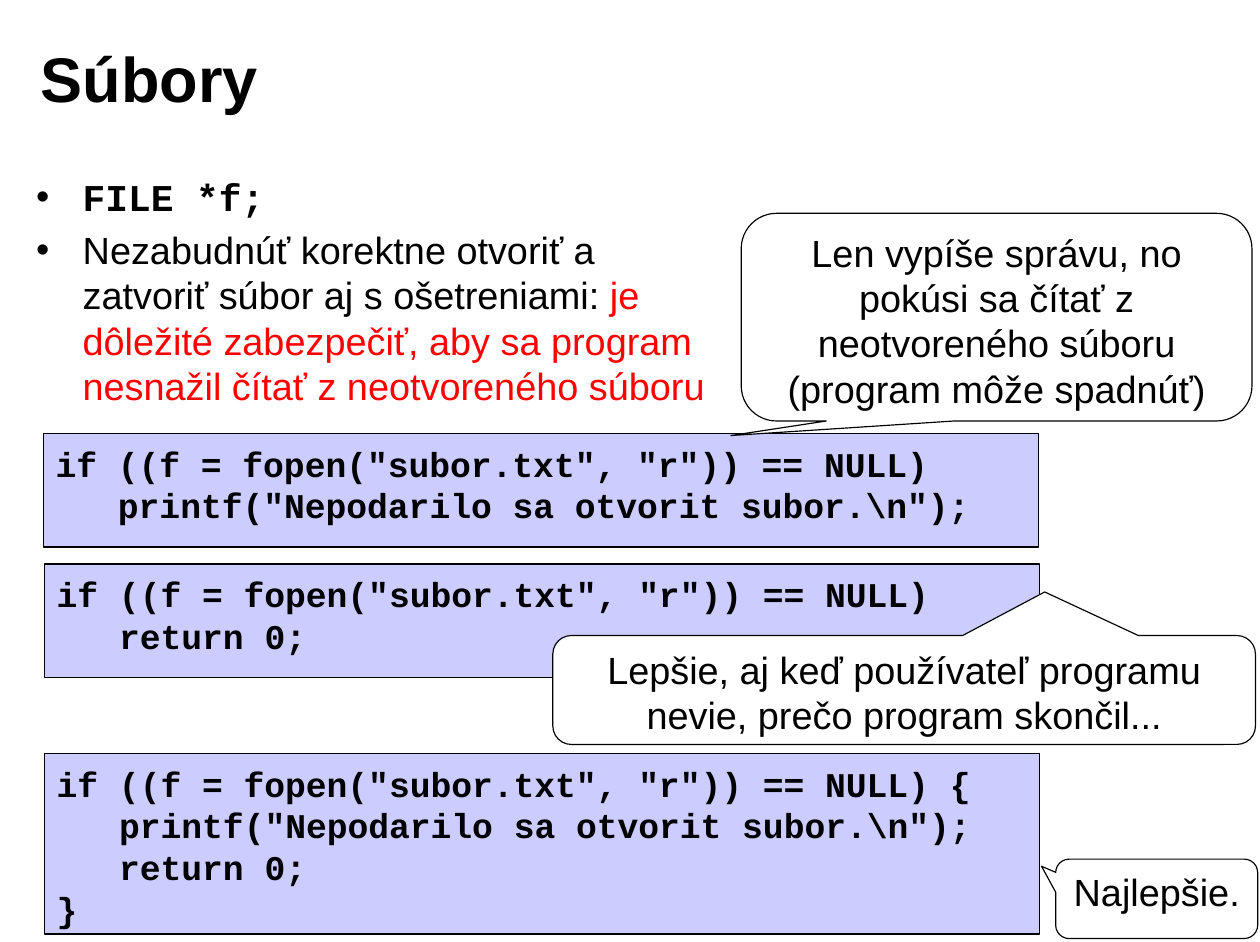
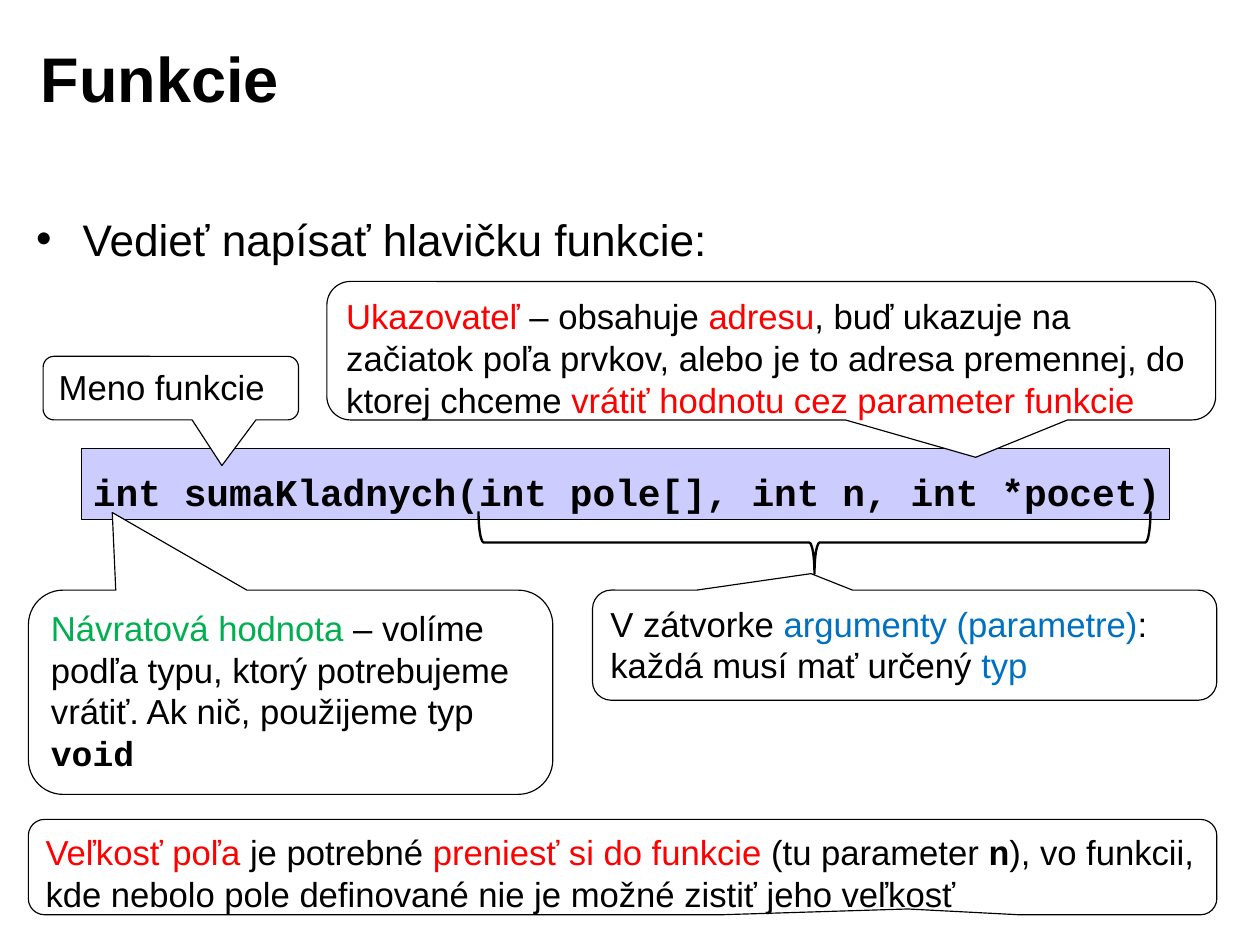
from lxml.etree import SubElement
from pptx import Presentation
from pptx.dml.color import RGBColor
from pptx.enum.shapes import MSO_SHAPE as Shape
from pptx.enum.text import MSO_ANCHOR as Anchor, PP_ALIGN as Align
from pptx.oxml.ns import qn
from pptx.util import Emu, Pt

PX = 9144  # 100 px to the inch
WIDTH, HEIGHT = 1110, 830
COLORS = {"black": "000000", "white": "FFFFFF", "code": "CCCCFF",
          "red": "FF0000", "green": "00B050", "blue": "0070C0"}
SANS, MONO = "Arial", "Courier New"
RED, GREEN, BLUE = ({"color": name} for name in ("red", "green", "blue"))
CODE = {"font": MONO, "bold": True}
WIDE_INSETS = (11, 6, 11, 6)
PLAIN_INSETS = (10, 5, 10, 5)
CODE_INSETS = (11, 8, 11, 6)
HEADER_INSETS = (10, 18, 0, 5)
CODE_INDENT = 55

# Content: a paragraph is a list of (text, format) runs
OPEN_FILE = 'if ((f = fopen("subor.txt", "r")) == NULL)'
REPORT = r'printf("Nepodarilo sa otvorit subor.\n");'
LEAVE = "return 0;"

# Code lines are (indent level, text)
FILES = {
    "title": "Súbory",
    "bullets": {"box": (22, 148, 631, 265), "size": 24, "paragraphs": [
        [("FILE *f;", CODE)],
        [("Nezabudnúť korektne otvoriť a zatvoriť súbor aj s ošetreniami: ", {}),
         ("je dôležité zabezpečiť, aby sa program nesnažil čítať "
          "z neotvoreného súboru", RED)]]},
    "code": [
        {"box": (38, 382, 877, 100), "lines": [(0, OPEN_FILE), (1, REPORT)]},
        {"box": (39, 497, 877, 100), "lines": [(0, OPEN_FILE), (1, LEAVE)]},
        {"box": (39, 664, 877, 159),
         "lines": [(0, OPEN_FILE + " {"), (1, REPORT), (1, LEAVE), (0, "}")]},
    ],
    "code_format": {"size": 22, "insets": CODE_INSETS},
    "callouts": [
        {"box": (653, 188, 450, 183), "tip": (-0.52, 0.57), "runs": [
            ("Len vypíše správu, no pokúsi sa čítať z neotvoreného súboru "
             "(program môže spadnúť)", {})]},
        {"box": (487, 560, 619, 96), "tip": (0.2, -0.9), "runs": [
            ("Lepšie, aj keď používateľ programu nevie, prečo program skončil...", {})]},
        {"box": (930, 757, 178, 70), "tip": (-0.57, -0.41),
         "runs": [("Najlepšie...", {})]},
    ],
    "callout_format": {"size": 24, "align": Align.CENTER, "insets": PLAIN_INSETS},
}

FUNCTIONS = {
    "title": "Funkcie",
    "bullets": {"box": (22, 182, 1067, 65), "size": 28,
                "paragraphs": [[("Vedieť napísať hlavičku funkcie:", {})]]},
    "code": [{"box": (72, 395, 958, 63),
              "lines": [(0, "int sumaKladnych(int pole[], int n, int *pocet)")]}],
    "code_format": {"size": 24, "insets": HEADER_INSETS},
    "callouts": [
        {"box": (25, 520, 462, 180), "tip": (-0.34, -0.88), "runs": [
            ("Návratová hodnota ", GREEN),
            ("– volíme podľa typu, ktorý potrebujeme vrátiť. "
             "Ak nič, použijeme typ ", {}),
            ("void", CODE)]},
        {"box": (38, 314, 225, 56), "tip": (0.2, 1.22),
         "runs": [("Meno funkcie", {})]},
        {"box": (288, 248, 783, 122), "tip": (0.23, 0.77), "runs": [
            ("Ukazovateľ", RED), (" – obsahuje ", {}), ("adresu", RED),
            (", buď ukazuje na začiatok poľa prvkov, alebo je to adresa "
             "premennej, do ktorej chceme ", {}),
            ("vrátiť hodnotu cez parameter funkcie", RED)]},
        {"box": (522, 520, 550, 97), "tip": (-0.15, -0.65), "runs": [
            ("V zátvorke ", {}), ("argumenty (parametre)", BLUE),
            (": každá musí mať určený ", {}), ("typ", BLUE)]},
        {"box": (25, 722, 1047, 84), "tip": (0.24, 0.44), "runs": [
            ("Veľkosť poľa ", RED), ("je potrebné ", {}),
            ("preniesť si do funkcie", RED), (" (tu parameter ", {}), ("n", CODE),
            ("), vo funkcii, kde nebolo pole definované nie je možné zistiť "
             "jeho veľkosť", {})]},
    ],
    "callout_format": {"size": 22, "align": Align.LEFT, "insets": WIDE_INSETS},
    "brace": (690, 182, 55, 592),
}


def rgb(name):
    return RGBColor.from_string(COLORS[name])


def emu(box):
    return [Emu(length * PX) for length in box]


def write(holder, paragraphs, size=24, font=SANS, color="black", bold=False,
          align=Align.LEFT, anchor=Anchor.TOP, insets=PLAIN_INSETS,
          bullet=False, levels=()):
    """Fill a shape with paragraphs made of (text, format) runs."""
    frame = holder.text_frame
    frame.word_wrap = True
    frame.vertical_anchor = anchor
    (frame.margin_left, frame.margin_top,
     frame.margin_right, frame.margin_bottom) = emu(insets)
    for index, runs in enumerate(paragraphs):
        para = frame.add_paragraph() if index else frame.paragraphs[0]
        para.alignment = align
        para.line_spacing = Pt(1.2 * size)
        props = para._p.get_or_add_pPr()
        if levels:
            props.set("marL", str(levels[index] * CODE_INDENT * PX))
        if bullet:
            para.space_before = Pt(0.2 * size)
            props.set("marL", str(41 * PX))
            props.set("indent", str(-41 * PX))
            SubElement(props, qn("a:buFont"), typeface=SANS)
            SubElement(props, qn("a:buChar"), char="•")
        for text, style in runs:
            run = para.add_run()
            run.text = text
            run.font.size = Pt(size)
            run.font.name = style.get("font", font)
            run.font.bold = style.get("bold", bold)
            run.font.color.rgb = rgb(style.get("color", color))


def draw(slide, kind, box, fill=None, weight=0.75):
    """Add an outlined preset shape."""
    outline = slide.shapes.add_shape(kind, *emu(box))
    outline.shadow.inherit = False
    if fill:
        outline.fill.solid()
        outline.fill.fore_color.rgb = rgb(fill)
    else:
        outline.fill.background()
    outline.line.color.rgb = rgb("black")
    outline.line.width = Pt(weight)
    return outline


def build(deck, topic):
    slide = deck.slides.add_slide(deck.slide_layouts[6])

    # Title and bullets
    title = slide.shapes.add_textbox(*emu((25, 17, 892, 102)))
    write(title, [[(topic["title"], {})]], size=40, bold=True,
          anchor=Anchor.MIDDLE, insets=WIDE_INSETS)
    bullets = topic["bullets"]
    write(slide.shapes.add_textbox(*emu(bullets["box"])), bullets["paragraphs"],
          size=bullets["size"], bullet=True)

    # Code panels
    for code in topic["code"]:
        panel = draw(slide, Shape.RECTANGLE, code["box"], "code")
        write(panel, [[(text, CODE)] for _, text in code["lines"]],
              levels=[level for level, _ in code["lines"]], **topic["code_format"])

    # Callouts
    for remark in topic["callouts"]:
        bubble = draw(slide, Shape.ROUNDED_RECTANGULAR_CALLOUT, remark["box"], "white")
        for index, value in enumerate((*remark["tip"], 0.17)):
            bubble.adjustments[index] = value
        write(bubble, [remark["runs"]], **topic["callout_format"])

    # Brace under the parameters
    if "brace" in topic:
        draw(slide, Shape.RIGHT_BRACE, topic["brace"], weight=1.5).rotation = 90


def main():
    deck = Presentation()
    deck.slide_width, deck.slide_height = emu((WIDTH, HEIGHT))
    for topic in (FILES, FUNCTIONS):
        build(deck, topic)
    deck.save("out.pptx")


if __name__ == "__main__":
    main()
